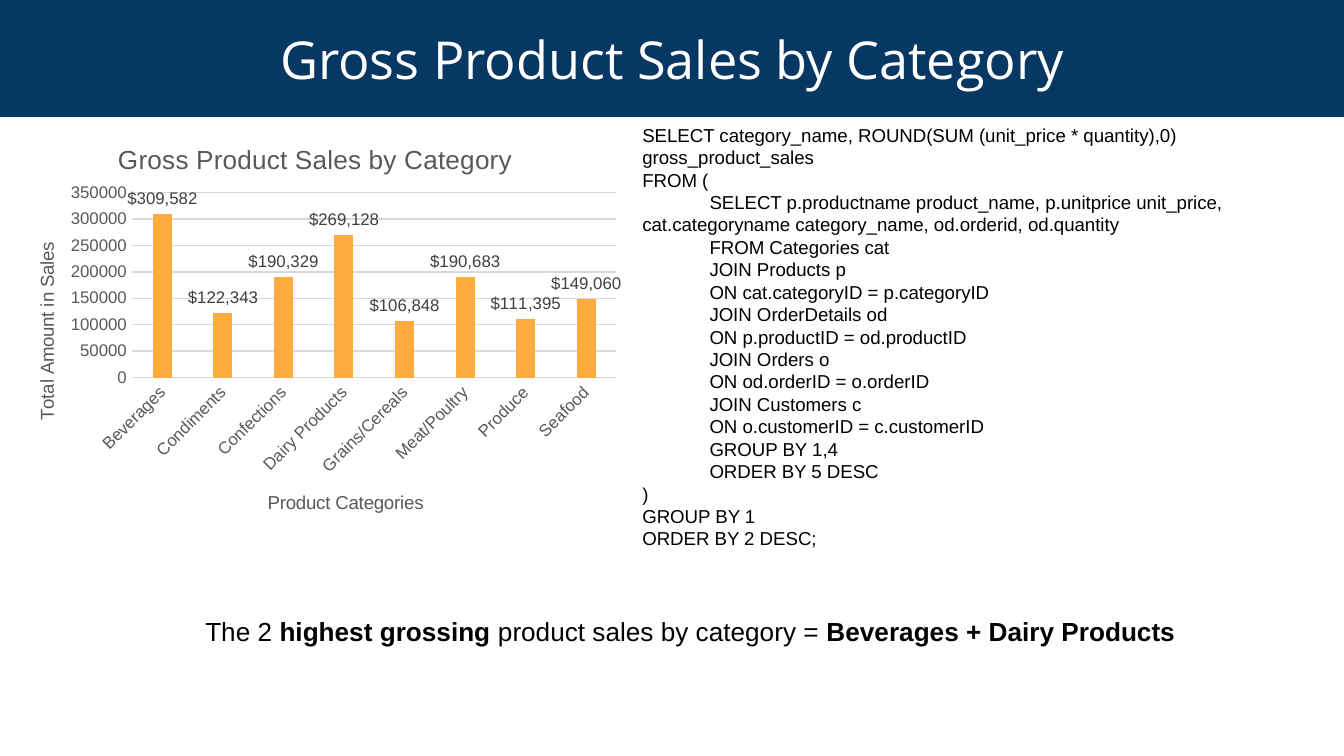
from pptx import Presentation
from pptx.chart.data import CategoryChartData
from pptx.dml.color import RGBColor
from pptx.enum.chart import XL_CHART_TYPE, XL_LABEL_POSITION, XL_TICK_MARK
from pptx.enum.text import MSO_ANCHOR, MSO_AUTO_SIZE, PP_ALIGN
from pptx.oxml import parse_xml
from pptx.oxml.ns import nsdecls
from pptx.util import Cm, Pt

COLUMN = XL_CHART_TYPE.COLUMN_CLUSTERED
OUTSIDE_END = XL_LABEL_POSITION.OUTSIDE_END
NO_TICK = XL_TICK_MARK.NONE
MIDDLE = MSO_ANCHOR.MIDDLE
NO_FIT, GROW = MSO_AUTO_SIZE.NONE, MSO_AUTO_SIZE.SHAPE_TO_FIT_TEXT
CENTER = PP_ALIGN.CENTER

TITLE = "Gross Product Sales by Category"
SALES = {
    "Beverages": 309582,
    "Condiments": 122343,
    "Confections": 190329,
    "Dairy Products": 269128,
    "Grains/Cereals": 106848,
    "Meat/Poultry": 190683,
    "Produce": 111395,
    "Seafood": 149060,
}
QUERY = """SELECT category_name, ROUND(SUM (unit_price * quantity),0) gross_product_sales
FROM (
\tSELECT p.productname product_name, p.unitprice unit_price, \tcat.categoryname category_name, od.orderid, od.quantity
\tFROM Categories cat
\tJOIN Products p
\tON cat.categoryID = p.categoryID
\tJOIN OrderDetails od
\tON p.productID = od.productID
\tJOIN Orders o
\tON od.orderID = o.orderID
\tJOIN Customers c
\tON o.customerID = c.customerID
\tGROUP BY 1,4
\tORDER BY 5 DESC
)
GROUP BY 1
ORDER BY 2 DESC;"""
FINDING = [
    ("The 2 ", False),
    ("highest grossing ", True),
    ("product sales by category = ", False),
    ("Beverages + Dairy Products", True),
]


def set_font(font, size, color, name="Arial", bold=False):
    font.size = Pt(size)
    font.name = name
    font.bold = bold
    font.color.rgb = RGBColor.from_string(color)


def set_layout(element, index, **fractions):
    """Place a chart part by fractions of the chart's width and height."""
    for old in element.xpath("./c:layout"):
        element.remove(old)
    target = '<c:layoutTarget val="inner"/>' if "w" in fractions else ""
    modes = "".join(f'<c:{k}Mode val="edge"/>' for k in "xy")
    values = "".join(f'<c:{k} val="{v}"/>' for k, v in fractions.items())
    element.insert(index, parse_xml(
        f'<c:layout {nsdecls("c")}><c:manualLayout>{target}{modes}{values}'
        "</c:manualLayout></c:layout>"))


prs = Presentation()
prs.slide_width, prs.slide_height = Cm(25.4), Cm(14.29)
s = prs.slides.add_slide(prs.slide_layouts[5])

# Title band
sp = s.shapes.title
sp.left, sp.top, sp.width, sp.height = 0, 0, prs.slide_width, Cm(2.21)
sp.fill.solid()
sp.fill.fore_color.rgb = RGBColor.from_string("073763")
tf = sp.text_frame
tf.text = TITLE
tf.auto_size = NO_FIT
tf.vertical_anchor = MIDDLE
tf.margin_left = tf.margin_right = tf.margin_top = tf.margin_bottom = Cm(0.25)
p = tf.paragraphs[0]
p.alignment = CENTER
set_font(p.runs[0].font, 28, "FFFFFF", "Open Sans")

# Sales chart
data = CategoryChartData()
data.categories = list(SALES)
data.add_series("Series 1", list(SALES.values()))
chart = s.shapes.add_chart(COLUMN, 0, Cm(2.21), Cm(11.89), Cm(7.95), data).chart
set_font(chart.font, 10, "000000")
chart.has_legend = False
chart.has_title = True

cat_axis, val_axis = chart.category_axis, chart.value_axis
titles = [
    (chart.chart_title, TITLE, 14, 0, 0.18, 0.05),
    (cat_axis.axis_title, "Product Categories", 10, 0, 0.42, 0.88),
    (val_axis.axis_title, "Total Amount in Sales", 10, -90, 0.05, 0.29),
]
for title, text, size, degrees, x, y in titles:
    tf = title.text_frame
    tf.text = text
    set_font(tf.paragraphs[0].runs[0].font, size, "595959")
    element = title.element
    element.xpath(".//a:bodyPr")[0].set("rot", str(degrees * 60000))
    set_layout(element, 1, x=x, y=y)

for axis in (cat_axis, val_axis):
    axis.major_tick_mark = axis.minor_tick_mark = NO_TICK
    set_font(axis.tick_labels.font, 9, "595959")
chart.element.xpath(".//c:catAx/c:txPr/a:bodyPr")[0].set("rot", str(-45 * 60000))
val_axis.minimum_scale, val_axis.maximum_scale = 0, 350000
val_axis.major_unit = 50000
val_axis.format.line.fill.background()
for line in (cat_axis.format.line, val_axis.major_gridlines.format.line):
    line.width = Pt(0.75)
    line.color.rgb = RGBColor.from_string("D9D9D9")

plot = chart.plots[0]
plot.gap_width, plot.overlap = 219, -27
plot.vary_by_categories = False
series = plot.series[0]
series.format.fill.solid()
series.format.fill.fore_color.rgb = RGBColor.from_string("FFAB40")
labels = series.data_labels
labels.show_value = True
labels.number_format = '"$"#,##0'
labels.number_format_is_linked = False
labels.position = OUTSIDE_END
set_font(labels.font, 9, "404040")
set_layout(chart.element.xpath(".//c:plotArea")[0], 0, x=0.21, y=0.18, w=0.77, h=0.44)

# SQL query
tf = s.shapes.add_textbox(Cm(11.89), Cm(2.21), Cm(13.51), Cm(8.38)).text_frame
tf.word_wrap = True
tf.auto_size = GROW
tf.text = QUERY
for p in tf.paragraphs:
    set_font(p.runs[0].font, 10, "000000")

# Finding
tf = s.shapes.add_textbox(Cm(3.63), Cm(11.51), Cm(18.9), Cm(0.86)).text_frame
tf.word_wrap = False
tf.auto_size = GROW
for text, bold in FINDING:
    r = tf.paragraphs[0].add_run()
    r.text = text
    set_font(r.font, 14, "000000", bold=bold)

prs.save("out.pptx")
